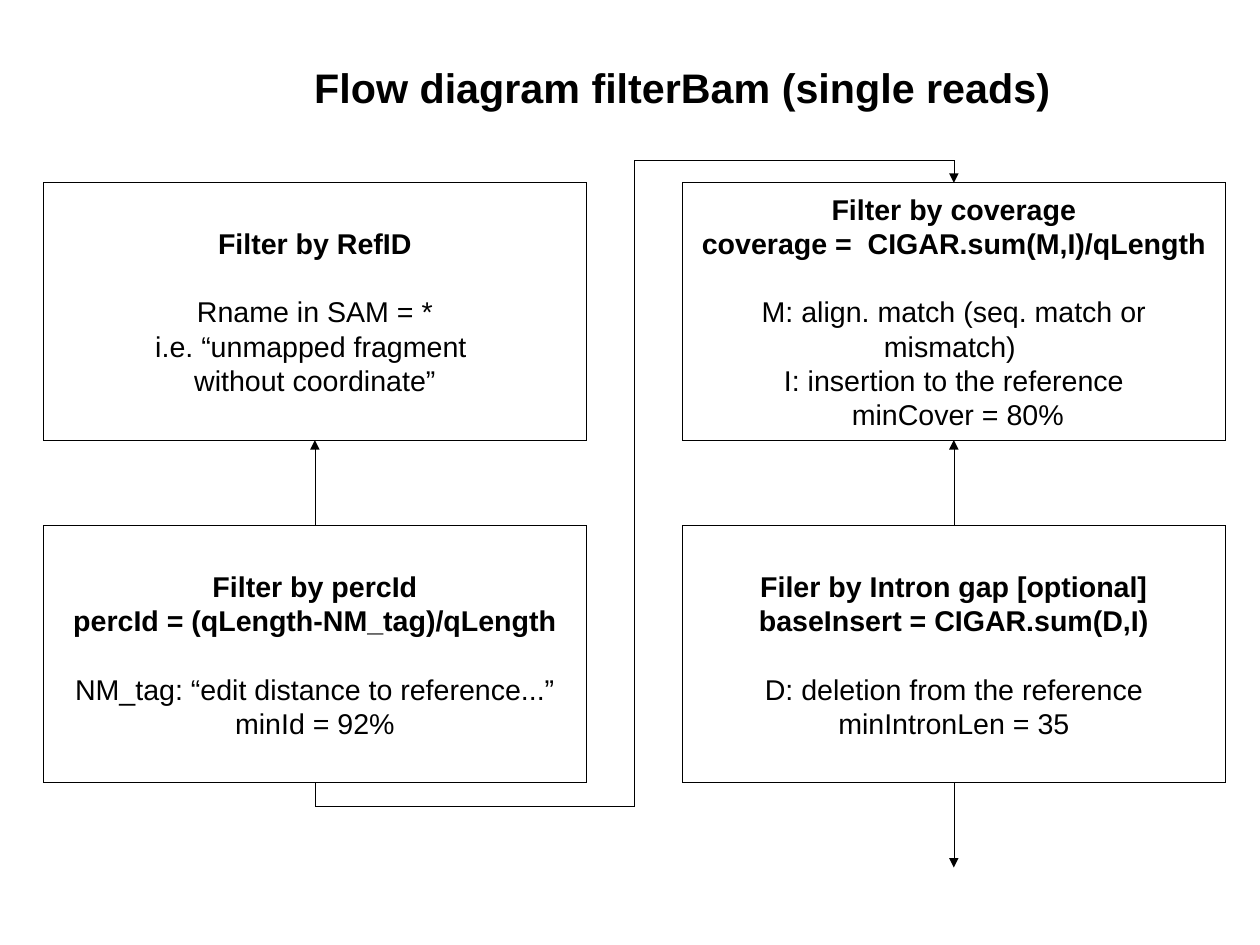
from lxml.etree import SubElement
from pptx import Presentation
from pptx.dml.color import RGBColor
from pptx.enum.shapes import MSO_CONNECTOR, MSO_SHAPE
from pptx.enum.text import MSO_ANCHOR, MSO_AUTO_SIZE, PP_ALIGN
from pptx.oxml.ns import qn
from pptx.util import Inches, Pt

BLACK = "000000"
HAIRLINE = Pt(0.01)
CM_PER_INCH = 2.54
TOP, BOTTOM = 0, 2
BOX_WIDTH, BOX_HEIGHT = 4.75, 2.25
COLUMNS = (0.38, 5.97)
ROWS = (1.6, 4.6)
DETOUR = 0.2

FILTERS = {
    "RefID": (0, 0, ["Filter by RefID"],
              ["Rname in SAM = *", "i.e. “unmapped fragment ", "without coordinate”"]),
    "percId": (0, 1, ["Filter by percId", "percId = (qLength-NM_tag)/qLength"],
               ["NM_tag: “edit distance to reference...”", "minId = 92%"]),
    "coverage": (1, 0, ["Filter by coverage", "coverage =  CIGAR.sum(M,I)/qLength"],
                 ["M: align. match (seq. match or mismatch) ",
                  "I: insertion to the reference", " minCover = 80%"]),
    "intron": (1, 1, ["Filer by Intron gap [optional]", "baseInsert = CIGAR.sum(D,I)"],
               ["D: deletion from the reference", "minIntronLen = 35"]),
}


def color(value):
    return RGBColor.from_string(value)


def write_text(paragraph, text, size=18, bold=False, align=PP_ALIGN.CENTER, before=0):
    paragraph.alignment = align
    paragraph.space_before = Pt(before)
    run = paragraph.add_run()
    run.text = text
    run.font.name = "Arial"
    run.font.size = Pt(size)
    run.font.bold = bold
    run.font.color.rgb = color(BLACK)


def draw_outline(shape):
    shape.line.color.rgb = color(BLACK)
    shape.line.width = HAIRLINE


def add_title(slide, left, top, width, height):
    shape = slide.shapes.add_textbox(Inches(left), Inches(top), Inches(width), Inches(height))
    shape.text_frame.word_wrap = False
    shape.text_frame.auto_size = MSO_AUTO_SIZE.SHAPE_TO_FIT_TEXT
    write_text(shape.text_frame.paragraphs[0], "Flow diagram filterBam (single reads)",
               size=26, bold=True, align=PP_ALIGN.LEFT)


def add_filter_box(slide, left, top, headings, details):
    shape = slide.shapes.add_shape(MSO_SHAPE.RECTANGLE, Inches(left), Inches(top),
                                   Inches(BOX_WIDTH), Inches(BOX_HEIGHT))
    shape.shadow.inherit = False
    shape.fill.background()
    draw_outline(shape)
    frame = shape.text_frame
    frame.word_wrap = True
    frame.vertical_anchor = MSO_ANCHOR.MIDDLE
    for index, text in enumerate(headings + details):
        paragraph = frame.add_paragraph() if index else frame.paragraphs[0]
        write_text(paragraph, text, bold=index < len(headings),
                   before=21.6 if index == len(headings) else 0)
    return shape


def add_arrow(slide, start, end=None, length=0, kind=MSO_CONNECTOR.STRAIGHT,
              start_side=BOTTOM, end_side=TOP):
    x = start.left + start.width // 2
    y = start.top + start.height
    connector = slide.shapes.add_connector(kind, x, y, x, y + Inches(length))
    connector.begin_connect(start, start_side)
    if end is not None:
        connector.end_connect(end, end_side)
    draw_outline(connector)
    SubElement(connector.line._get_or_add_ln(), qn("a:tailEnd"), type="triangle")
    SubElement(connector._element.spPr, qn("a:effectLst"))
    return connector


def add_detour_arrow(slide, start, end):
    connector = add_arrow(slide, start, end, kind=MSO_CONNECTOR.ELBOW)
    across, rise = connector.width, connector.height
    center_x = connector.left + across // 2
    center_y = connector.top + rise // 2
    connector.left, connector.top = center_x - rise // 2, center_y - across // 2
    connector.width, connector.height = rise, across
    transform = connector._element.spPr.find(qn("a:xfrm"))
    for name, value in (("rot", "5400000"), ("flipH", "1"), ("flipV", "1")):
        transform.set(name, value)
    geometry = connector._element.spPr.find(qn("a:prstGeom"))
    geometry.set("prst", "bentConnector5")
    adjustments = geometry.find(qn("a:avLst"))
    offset = round(100000 * Inches(DETOUR) / rise)
    for number, value in enumerate((-offset, 50000, 100000 + offset), 1):
        SubElement(adjustments, qn("a:gd"), name=f"adj{number}", fmla=f"val {value}")


def add_flow(slide):
    boxes = {name: add_filter_box(slide, COLUMNS[column], ROWS[row], headings, details)
             for name, (column, row, headings, details) in FILTERS.items()}
    for lower, upper in (("percId", "RefID"), ("intron", "coverage")):
        add_arrow(slide, boxes[lower], boxes[upper], start_side=TOP, end_side=BOTTOM)
    add_detour_arrow(slide, boxes["percId"], boxes["coverage"])
    add_arrow(slide, boxes["intron"], length=0.74)


def main():
    presentation = Presentation()
    presentation.slide_width = Inches(28 / CM_PER_INCH)
    presentation.slide_height = Inches(21 / CM_PER_INCH)
    slide = presentation.slides.add_slide(presentation.slide_layouts[6])
    add_flow(slide)
    add_title(slide, 2.65, 0.5, 6.65, 0.5)
    presentation.save("out.pptx")


if __name__ == "__main__":
    main()
